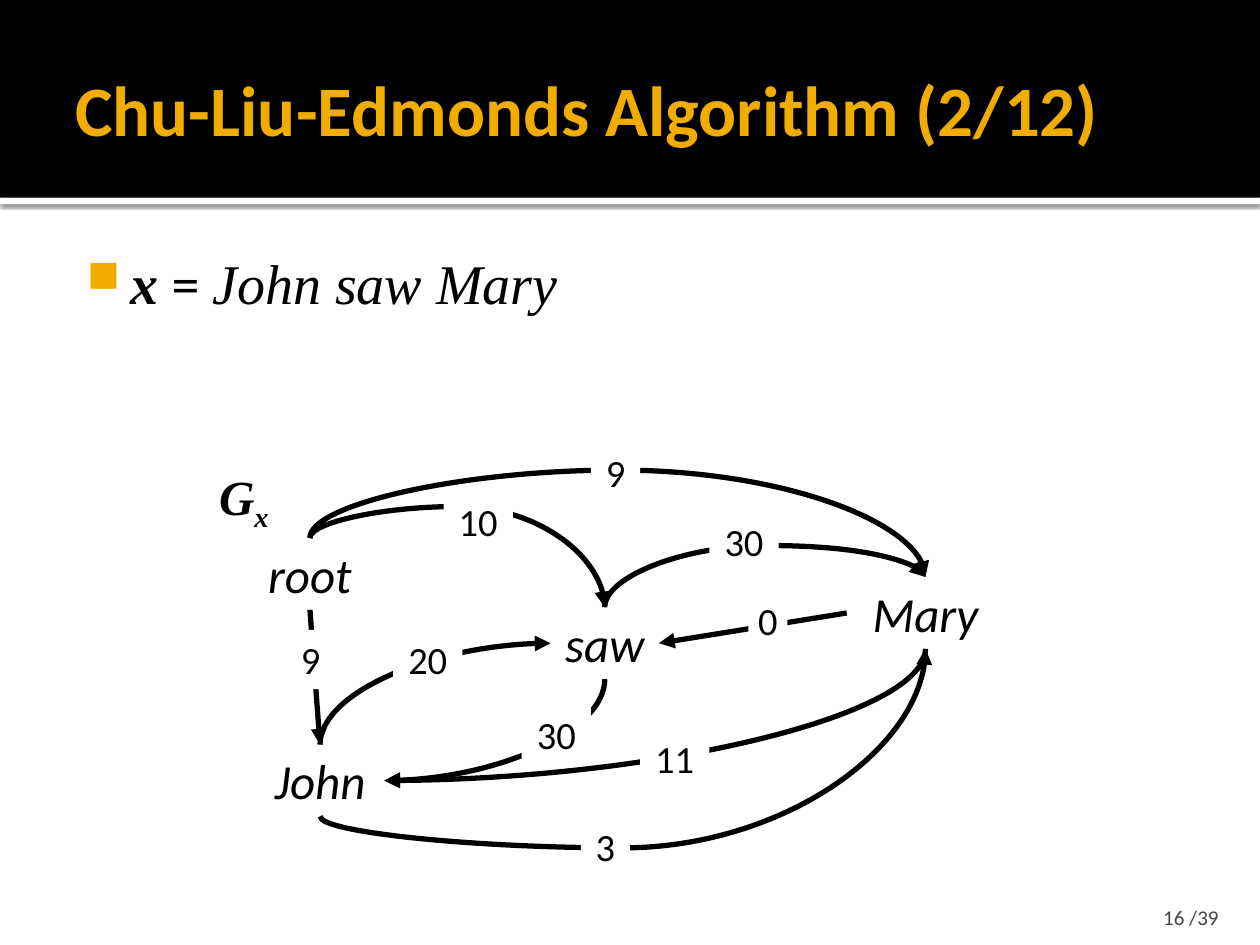
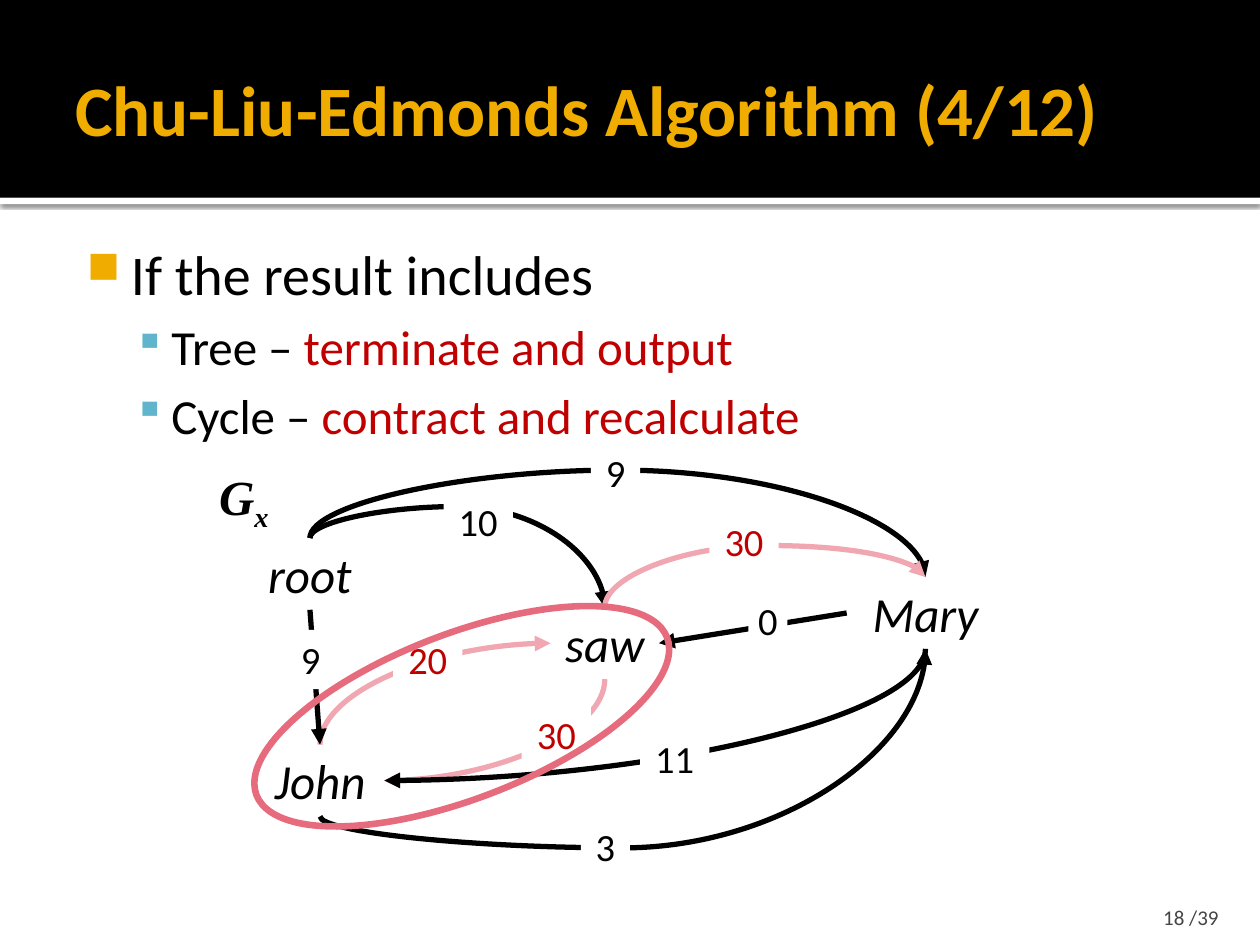
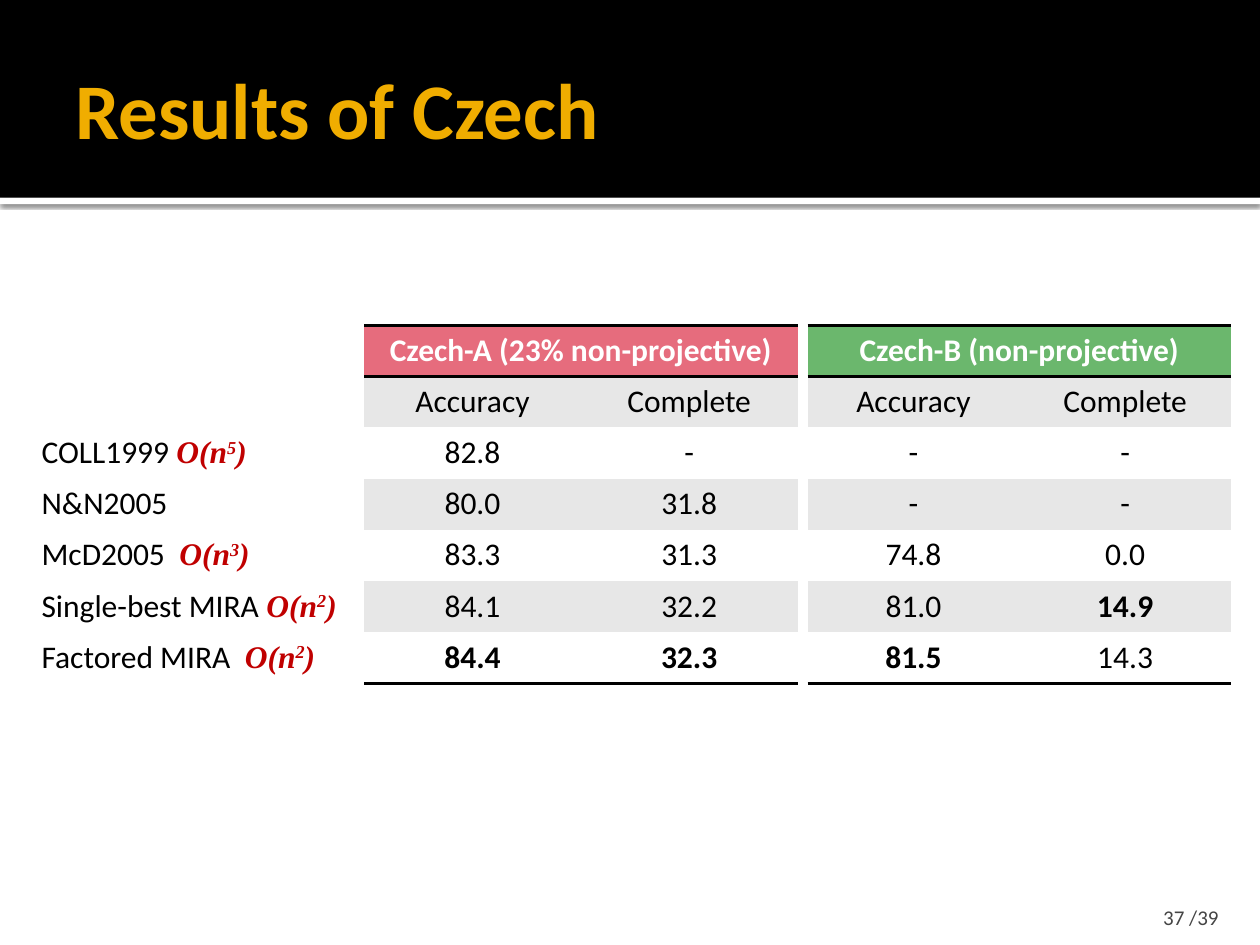
from lxml import etree
from pptx import Presentation
from pptx.dml.color import RGBColor
from pptx.enum.shapes import MSO_CONNECTOR, MSO_SHAPE
from pptx.enum.text import MSO_ANCHOR, PP_ALIGN
from pptx.oxml.ns import qn
from pptx.util import Inches, Pt

STRAIGHT, CURVE = MSO_CONNECTOR.STRAIGHT, MSO_CONNECTOR.CURVE
RECTANGLE, OVAL = MSO_SHAPE.RECTANGLE, MSO_SHAPE.OVAL
LEFT, CENTER, RIGHT = PP_ALIGN.LEFT, PP_ALIGN.CENTER, PP_ALIGN.RIGHT
TOP, MIDDLE, BOTTOM = MSO_ANCHOR.TOP, MSO_ANCHOR.MIDDLE, MSO_ANCHOR.BOTTOM

COLORS = {
    "ink": "000000", "paper": "FFFFFF", "title": "F0AD00", "page": "454545",
    "accent": "C00000", "sub_bullet": "60B5CC", "cycle_edge": "F0A7B1",
    "rose": "E66C7D", "green": "6BB76D", "stripe": "E7E7E7",
}
SANS, SERIF = "Calibri", "Times New Roman"
PAGE_TOTAL = 39
NO_STYLE = "{2D5ABB26-0587-4C30-8999-92F81FD0307C}"

# The slide is a grid of 100 columns by 75 rows of square cells
SLIDE_W, SLIDE_H = Inches(10), Inches(7.5)
CELL = SLIDE_W / 100

# Looks of runs
PLAIN = {}
RED = {"color": "accent"}
MATH = {"font": SERIF, "italic": True}
MATH_BOLD = {**MATH, "bold": True}
ORDER = {**MATH_BOLD, "color": "accent"}

# Graph: places are cells from the graph's corner
NODE_H, LABEL_H = 5.7, 4.7
NODES = {  # left, top, width
    "saw": (27.3, 13.2, 8.6),
    "root": (3.9, 7.7, 8.6),
    "John": (3.9, 24.1, 10.2),
    "Mary": (50.8, 10.8, 12.5),
}
SIDE_TOP, SIDE_LEFT, SIDE_BOTTOM, SIDE_RIGHT = range(4)
# from, side, to, side, route (row of the bend, "corner" or "straight"),
# weight, then left, top and width of the weight's label
EDGES = [
    ("root", SIDE_TOP, "saw", SIDE_TOP, 5.2, "10", 18.8, 4, 5.5),
    ("root", SIDE_TOP, "Mary", SIDE_TOP, 2.3, "9", 30.5, 0.1, 3.9),
    ("John", SIDE_TOP, "saw", SIDE_LEFT, "corner", "20", 14.8, 15, 5.5),
    ("John", SIDE_BOTTOM, "Mary", SIDE_BOTTOM, 32.3, "3", 29.7, 29.8, 3.9),
    ("saw", SIDE_BOTTOM, "John", SIDE_RIGHT, "corner", "30", 25, 20.9, 5.5),
    ("saw", SIDE_TOP, "Mary", SIDE_TOP, 8.3, "30", 39.9, 5.6, 5.5),
    ("Mary", SIDE_BOTTOM, "John", SIDE_RIGHT, "corner", "11", 34.4, 22.8, 5.5),
    ("root", SIDE_BOTTOM, "John", SIDE_TOP, "straight", "9", 6.3, 15, 3.9),
    ("Mary", SIDE_LEFT, "saw", SIDE_RIGHT, "straight", "0", 43, 11.9, 3.1),
]
GRAPH_CORNER = (16.4, 35)
BEST_EDGES = {("John", "saw"), ("saw", "John"), ("saw", "Mary")}

# Results
ROW_H = 4.06
HEADINGS = ["Accuracy", "Complete"]
PARSERS = [  # name, power of n in its running time
    ("COLL1999 ", "5"), ("N&N2005", None), ("McD2005  ", "3"),
    ("Single-best MIRA ", "2"), ("Factored MIRA  ", "2"),
]
CZECH_A = [("82.8", "-"), ("80.0", "31.8"), ("83.3", "31.3"),
           ("84.1", "32.2"), ("84.4", "32.3")]
CZECH_B = [("-", "-"), ("-", "-"), ("74.8", "0.0"),
           ("81.0", "14.9"), ("81.5", "14.3")]
BEST_SCORES = {"84.4", "32.3", "81.5", "14.9"}


def cells(*counts):
    return [round(count * CELL) for count in counts]


def rgb(name):
    return RGBColor.from_string(COLORS[name])


def add_xml(parent, tag, index=None, **attributes):
    child = etree.Element(qn(tag), {k: str(v) for k, v in attributes.items()})
    parent.insert(len(parent) if index is None else index, child)
    return child


def write(paragraph, runs, size, align=LEFT):
    """Fill a paragraph with (text, look) runs."""
    paragraph.alignment = align
    for text, look in runs:
        run = paragraph.add_run()
        run.text = text
        font = run.font
        font.size = Pt(size)
        font.name = look.get("font", SANS)
        font.bold = look.get("bold", False)
        font.italic = look.get("italic", False)
        font.color.rgb = rgb(look.get("color", "ink"))
        if "baseline" in look:
            run._r.get_or_add_rPr().set("baseline", str(look["baseline"]))


def set_frame(frame, anchor, insets):
    frame.word_wrap = True
    frame.vertical_anchor = anchor
    (frame.margin_left, frame.margin_top,
     frame.margin_right, frame.margin_bottom) = cells(*insets)


def add_text(slide, box, runs, size, align=LEFT, anchor=TOP,
             insets=(1, 0.5, 1, 0.5)):
    frame = slide.shapes.add_textbox(*cells(*box)).text_frame
    set_frame(frame, anchor, insets)
    write(frame.paragraphs[0], runs, size, align)


def add_block(slide, box, color):
    block = slide.shapes.add_shape(RECTANGLE, *cells(*box))
    block.shadow.inherit = False
    block.fill.solid()
    block.fill.fore_color.rgb = rgb(color)
    block.line.fill.background()
    return block


def add_frame(slide, title, page, title_size=40.5):
    """Band, title and page number that every slide carries."""
    strip = add_block(slide, (0, 15.7, 100, 0.5), "paper")
    shadow = add_xml(strip._element.spPr.find(qn("a:effectLst")), "a:outerShdw",
                     blurRad=Pt(2.5), dist=Pt(0.8), dir=90 * 60000)
    shade = add_xml(shadow, "a:srgbClr", val=COLORS["ink"])
    add_xml(shade, "a:alpha", val=60000)
    add_block(slide, (0, 0, 100, 15.7), "ink")
    add_text(slide, (5, 1.7, 90, 13.7),
             [(title, {"color": "title", "bold": True})], title_size,
             anchor=MIDDLE, insets=(1, 0.5, 0.5, 0.5))
    add_text(slide, (89.7, 70.8, 8, 3),
             [(f"{page} /{PAGE_TOTAL}", {"color": "page"})], 12,
             align=RIGHT, anchor=BOTTOM, insets=(1, 0.5, 1, 0))


def add_bullets(slide, box, items):
    """Items are (level, runs)."""
    levels = [  # text size, indent, hanging, bullet, its colour and percent
        (32, 4.8, 3.5, "■", "title", 80),
        (28, 8, 3, "▪", "sub_bullet", 90),
    ]
    frame = slide.shapes.add_textbox(*cells(*box)).text_frame
    set_frame(frame, TOP, (0.6, 1, 1, 0.5))
    for number, (level, runs) in enumerate(items):
        paragraph = frame.add_paragraph() if number else frame.paragraphs[0]
        size, indent, hanging, mark, color, percent = levels[level]
        write(paragraph, runs, size)
        if level:
            paragraph.space_before = Pt(0.2 * size)
        properties = paragraph._p.get_or_add_pPr()
        margin, hang = cells(indent, -hanging)
        properties.set("marL", str(margin))
        properties.set("indent", str(hang))
        add_xml(add_xml(properties, "a:buClr"), "a:srgbClr", val=COLORS[color])
        add_xml(properties, "a:buSzPct", val=percent * 1000)
        add_xml(properties, "a:buChar", char=mark)


def bend_curve(edge, bend):
    """Make a connector leave vertically; bend is a height, None for a corner."""
    start_x, start_y = edge.begin_x, edge.begin_y
    run, rise = edge.end_x - start_x, edge.end_y - start_y
    turned = run > 0 and rise > 0
    edge.width, edge.height = abs(rise), abs(run)
    edge.left = round(start_x + (run - abs(rise)) / 2)
    edge.top = round(start_y + (rise - abs(run)) / 2)
    transform = edge._element.spPr.find(qn("a:xfrm"))
    transform.set("rot", str((270 if turned else 90) * 60000))
    transform.set("flipH", str(int((rise < 0) != turned)))
    transform.set("flipV", str(int((run > 0) != turned)))
    geometry = edge._element.spPr.find(qn("a:prstGeom"))
    if bend is None:
        geometry.set("prst", "curvedConnector2")
    else:
        share = round((bend - start_y) / rise * 100000)
        add_xml(geometry.find(qn("a:avLst")), "a:gd",
                name="adj1", fmla=f"val {share}")


def add_edge(slide, start, start_side, end, end_side, route, top, color):
    kind = STRAIGHT if route == "straight" else CURVE
    edge = slide.shapes.add_connector(kind, 0, 0, 0, 0)
    edge.begin_connect(start, start_side)
    edge.end_connect(end, end_side)
    if kind == CURVE:
        bend = None if route == "corner" else (top + route) * CELL
        bend_curve(edge, bend)
    edge.line.color.rgb = rgb(color)
    edge.line.width = Pt(3)
    add_xml(edge.line._get_or_add_ln(), "a:tailEnd", type="triangle")
    add_xml(edge._element.spPr, "a:effectLst")


def add_graph(slide, corner, marked=frozenset()):
    """Word graph; marked edges are tinted."""
    left, top = corner
    words = {}
    for word, (x, y, width) in NODES.items():
        add_text(slide, (left + x, top + y, width, NODE_H),
                 [(word, {"italic": True})], 28, CENTER, insets=(0, 0.5, 0, 0.5))
        words[word] = slide.shapes[-1]

    for start, start_side, end, end_side, route, *_ in EDGES:
        color = "cycle_edge" if (start, end) in marked else "ink"
        add_edge(slide, words[start], start_side, words[end], end_side,
                 route, top, color)

    # Weights cover the middle of their edges
    for start, _, end, _, _, weight, x, y, width in EDGES:
        label = add_block(slide, (left + x, top + y, width, LABEL_H), "paper")
        set_frame(label.text_frame, MIDDLE, (0, 0.5, 0, 0.5))
        look = RED if (start, end) in marked else PLAIN
        write(label.text_frame.paragraphs[0], [(weight, look)], 22, CENTER)

    add_text(slide, (left, top + 1.5, 7.8, NODE_H),
             [("G", MATH_BOLD), ("x", {**MATH_BOLD, "baseline": -25000})], 28)


def add_cycle_ring(slide, box):
    ring = slide.shapes.add_shape(OVAL, *cells(*box))
    ring.shadow.inherit = False
    ring.fill.background()
    ring.line.color.rgb = rgb("rose")
    ring.line.width = Pt(3.78)
    ring.rotation = 339


def new_table(slide, corner, rows, columns, width):
    box = cells(*corner, width, rows * ROW_H)
    table = slide.shapes.add_table(rows, columns, *box).table
    table.first_row = table.horz_banding = False
    table._tbl.tblPr.find(qn("a:tableStyleId")).text = NO_STYLE
    return table


def rule_cell(cell, *edges):
    """Black rules at the given edges, "T" before "B"."""
    for index, edge in enumerate(edges):
        rule = add_xml(cell._tc.get_or_add_tcPr(), f"a:ln{edge}", index, w=Pt(2))
        fill = add_xml(rule, "a:solidFill")
        add_xml(fill, "a:srgbClr", val=COLORS["ink"])


def add_scores(slide, corner, width, heading, color, scores):
    rows = [(heading, ""), HEADINGS, *scores]
    table = new_table(slide, corner, len(rows), 2, width)
    table.cell(0, 0).merge(table.cell(0, 1))
    for r, row in enumerate(rows):
        for c, text in enumerate(row):
            cell = table.cell(r, c)
            cell.fill.solid()
            fill = color if r == 0 else "stripe" if r % 2 else "paper"
            cell.fill.fore_color.rgb = rgb(fill)
            look = {"bold": r == 0 or text in BEST_SCORES,
                    "color": "ink" if r else "paper"}
            if text:
                write(cell.text_frame.paragraphs[0], [(text, look)], 18, CENTER)
            if r == 0:
                rule_cell(cell, "T", "B")
            elif r == len(rows) - 1:
                rule_cell(cell, "B")


def add_parsers(slide, corner, width):
    heading_rows = 2
    table = new_table(slide, corner, heading_rows + len(PARSERS), 1, width)
    for cell in table.iter_cells():
        cell.fill.background()
    for r, (name, power) in enumerate(PARSERS, heading_rows):
        runs = [(name, PLAIN)]
        if power:
            runs += [("O(n", ORDER), (power, {**ORDER, "baseline": 30000}),
                     (")", ORDER)]
        write(table.cell(r, 0).text_frame.paragraphs[0], runs, 18)


def sentence_slide(slide):
    add_frame(slide, "Chu-Liu-Edmonds Algorithm (2/12)", 16)
    add_bullets(slide, (5, 18.7, 90, 51.3), [
        (0, [("x", MATH_BOLD), (" = ", PLAIN), ("John saw Mary", MATH)]),
    ])
    add_graph(slide, GRAPH_CORNER)


def cycle_slide(slide):
    add_frame(slide, "Chu-Liu-Edmonds Algorithm (4/12)", 18)
    add_bullets(slide, (5, 18, 90, 52), [
        (0, [("If the result includes", PLAIN)]),
        (1, [("Tree – ", PLAIN), ("terminate and output", RED)]),
        (1, [("Cycle – ", PLAIN), ("contract and recalculate", RED)]),
    ])
    add_graph(slide, GRAPH_CORNER, BEST_EDGES)
    add_cycle_ring(slide, (19.2, 50.3, 34.9, 13.1))


def results_slide(slide):
    add_frame(slide, "Results of Czech", 37, title_size=45)
    top = 25.8
    add_scores(slide, (28.9, top), 34.4, "Czech-A (23% non-projective)",
               "rose", CZECH_A)
    add_scores(slide, (64.1, top), 33.6, "Czech-B (non-projective)",
               "green", CZECH_B)
    add_parsers(slide, (2.3, top), 25.8)


def main():
    deck = Presentation()
    deck.slide_width, deck.slide_height = SLIDE_W, SLIDE_H
    blank = deck.slide_layouts[6]
    for build in (sentence_slide, cycle_slide, results_slide):
        build(deck.slides.add_slide(blank))
    deck.save("out.pptx")


if __name__ == "__main__":
    main()
